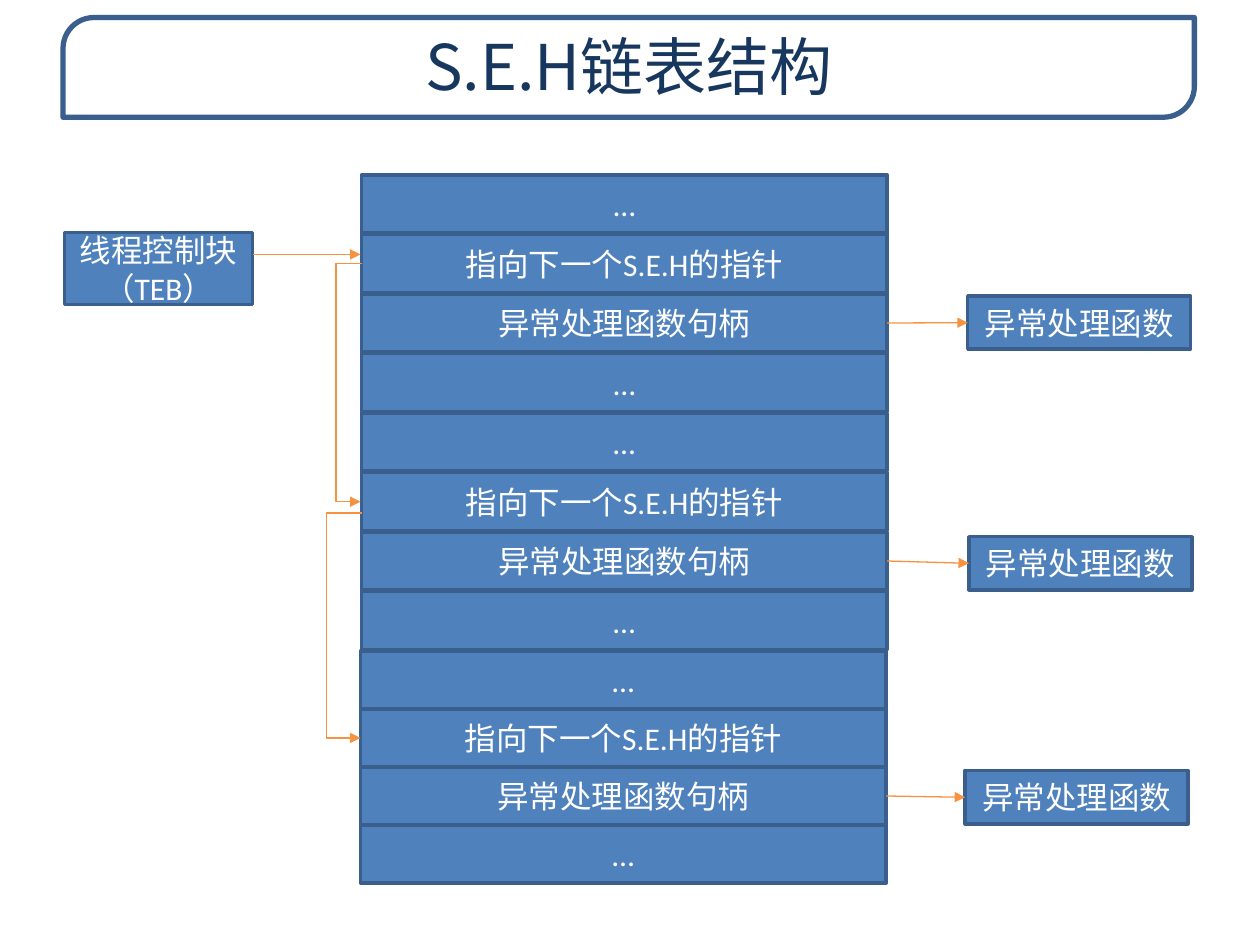
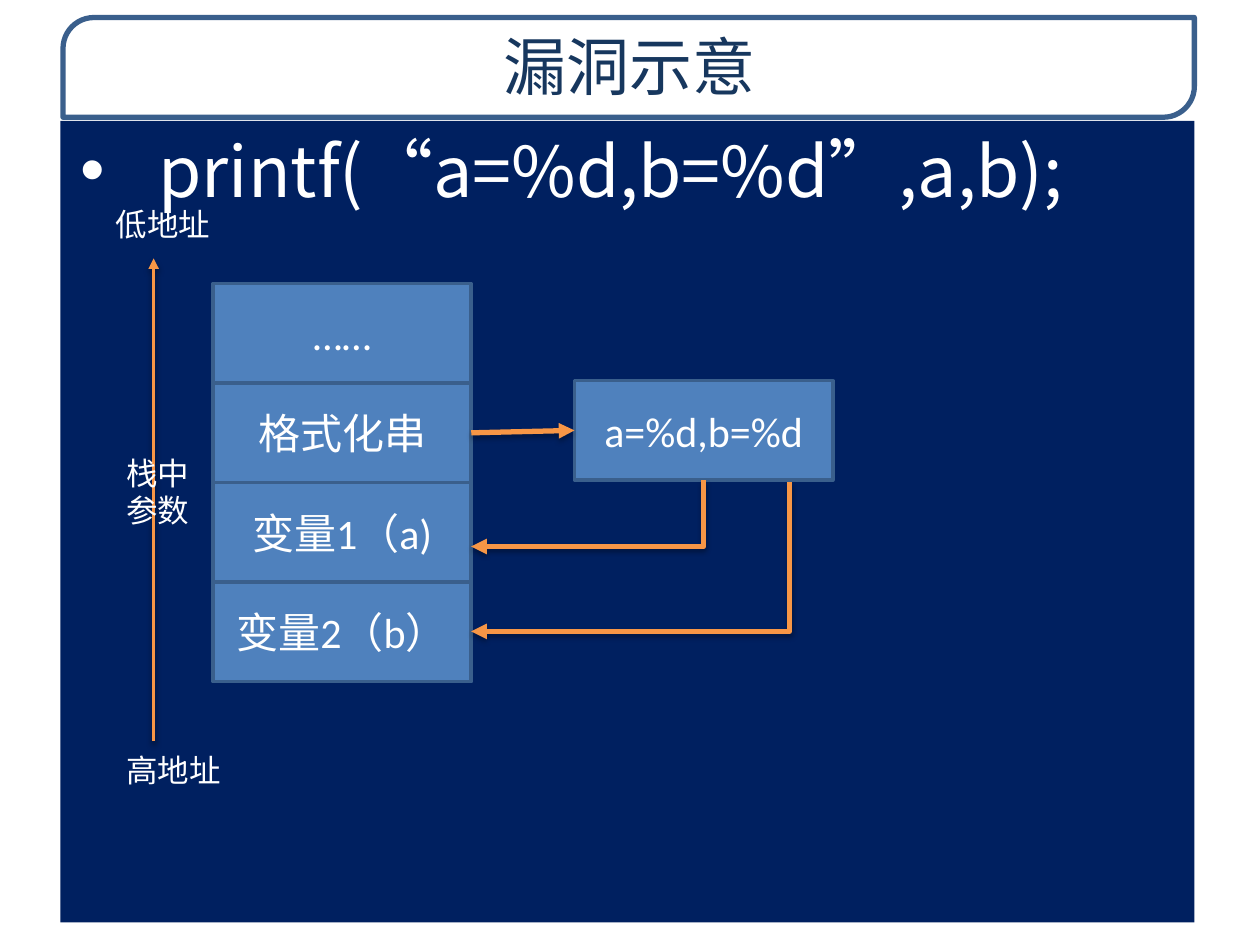
"""Build two slides: the S.E.H chain structure and a format string stack diagram."""
from dataclasses import dataclass

from lxml.etree import SubElement
from pptx import Presentation
from pptx.dml.color import RGBColor
from pptx.enum.shapes import MSO_CONNECTOR, MSO_SHAPE
from pptx.enum.text import MSO_ANCHOR, PP_ALIGN
from pptx.oxml.ns import qn
from pptx.util import Pt


@dataclass(frozen=True)
class Theme:
    white: RGBColor = RGBColor.from_string("FFFFFF")
    title: RGBColor = RGBColor.from_string("17375E")
    border: RGBColor = RGBColor.from_string("3A5F8C")
    box: RGBColor = RGBColor.from_string("4F81BD")
    panel: RGBColor = RGBColor.from_string("002060")
    thin_arrow: RGBColor = RGBColor.from_string("F69240")
    bold_arrow: RGBColor = RGBColor.from_string("F79646")
    chinese_font: str = "Noto Sans CJK SC"
    box_font: str = "Calibri"
    label_font: str = "Arial"
    title_size: int = 36
    code_size: int = 40
    stack_size: int = 24
    small_size: int = 18


theme = Theme()


def add_box(slide, frame, lines, size, font=theme.box_font, color=theme.white,
            fill=None, border=0, preset=MSO_SHAPE.RECTANGLE,
            align=PP_ALIGN.CENTER, anchor=MSO_ANCHOR.MIDDLE):
    lengths = [Pt(length) for length in frame]
    if fill is None:
        shape = slide.shapes.add_textbox(*lengths)
    else:
        shape = slide.shapes.add_shape(preset, *lengths)
        shape.shadow.inherit = False
        shape.fill.solid()
        shape.fill.fore_color.rgb = fill
        if border:
            shape.line.color.rgb = theme.border
            shape.line.width = Pt(border)
        else:
            shape.line.fill.background()
    text_frame = shape.text_frame
    text_frame.word_wrap = True
    text_frame.vertical_anchor = anchor
    for index, line in enumerate(lines):
        paragraph = text_frame.add_paragraph() if index else text_frame.paragraphs[0]
        paragraph.alignment = align
        run = paragraph.add_run()
        run.text = line
        run.font.size = Pt(size)
        run.font.name = font
        run.font.color.rgb = color
        SubElement(run._r.get_or_add_rPr(), qn("a:ea"), typeface=theme.chinese_font)
    return shape


def add_arrow(slide, start, end, color, width, bend=None, shadow=0):
    kind = MSO_CONNECTOR.STRAIGHT if bend is None else MSO_CONNECTOR.ELBOW
    arrow = slide.shapes.add_connector(kind, *[Pt(length) for length in (*start, *end)])
    arrow.line.color.rgb = color
    arrow.line.width = Pt(width)
    properties = arrow.element.spPr
    SubElement(properties.find(qn("a:ln")), qn("a:tailEnd"), type="triangle")
    effects = SubElement(properties, qn("a:effectLst"))
    if shadow:
        outer = SubElement(effects, qn("a:outerShdw"), blurRad=str(Pt(3.1)), dist=str(Pt(1.8)),
                           dir="5400000", rotWithShape="0")
        black = SubElement(outer, qn("a:srgbClr"), val="000000")
        SubElement(black, qn("a:alpha"), val=str(shadow * 1000))
    if bend is not None:
        guides = properties.find(qn("a:prstGeom")).find(qn("a:avLst"))
        ratio = round(100000 * bend / abs(end[0] - start[0]))
        SubElement(guides, qn("a:gd"), name="adj1", fmla=f"val {ratio}")
    return arrow


presentation = Presentation()
presentation.slide_width = Pt(720)
presentation.slide_height = Pt(540)

slides = []
for title in ("S.E.H链表结构", "漏洞示意"):
    slide = presentation.slides.add_slide(presentation.slide_layouts[6])
    band = add_box(slide, (36, 10, 646.5, 57), (), theme.title_size, fill=theme.white,
                   border=3, preset=MSO_SHAPE.ROUND_2_DIAG_RECTANGLE)
    band.adjustments[0] = 0.31
    band.adjustments[1] = 0
    add_box(slide, (36.5, 10, 646, 54.5), (title,), theme.title_size,
            theme.chinese_font, theme.title)
    slides.append(slide)
chain_slide, stack_slide = slides

record_rows = ("…", "指向下一个S.E.H的指针", "异常处理函数句柄", "…")
handle_row = 2
records = (
    (206.6, 100, 34, 553, 169.2),
    (206.5, 236, 34, 553.7, 306.7),
    (206, 372, 33.15, 551.5, 440.4),
)
for left, top, pitch, handler_left, handler_top in records:
    rows = [add_box(chain_slide, (left, top + index * pitch, 300.4, 33.15), (text,),
                    theme.small_size, fill=theme.box, border=2)
            for index, text in enumerate(record_rows)]
    handler = add_box(chain_slide, (handler_left, handler_top, 127.4, 30.4), ("异常处理函数",),
                      theme.small_size, fill=theme.box, border=2)
    arrow = add_arrow(chain_slide, (507, handler_top), (handler_left, handler_top),
                      theme.thin_arrow, 0.75)
    arrow.begin_connect(rows[handle_row], 3)
    arrow.end_connect(handler, 1)

for start_y, end_y, bend in ((150.6, 286.7, 15), (293.2, 421.7, 20.5)):
    add_arrow(chain_slide, (207, start_y), (206, end_y), theme.thin_arrow, 0.75, bend)
add_box(chain_slide, (36.8, 133, 107.6, 41), ("线程控制块", "（TEB）"),
        theme.small_size, fill=theme.box, border=2)
add_arrow(chain_slide, (144.5, 145.4), (206, 145.4), theme.thin_arrow, 0.75)

panel = add_box(stack_slide, (34.5, 69.1, 648, 458), ("printf(“a=%d,b=%d”,a,b);",),
                theme.code_size, theme.chinese_font, fill=theme.panel,
                align=PP_ALIGN.JUSTIFY, anchor=MSO_ANCHOR.TOP)
panel.text_frame.margin_left = panel.text_frame.margin_right = Pt(11.5)
code = panel.text_frame.paragraphs[0]
code.space_before = Pt(8)
code_properties = code._p.get_or_add_pPr()
code_properties.set("marL", str(Pt(44.6)))
code_properties.set("indent", str(Pt(-44.6)))
SubElement(code_properties, qn("a:buFont"), typeface=theme.label_font)
SubElement(code_properties, qn("a:buChar"), char="•")

cells = [add_box(stack_slide, (121.7, 162 + index * 56.9, 147.6, 56.9), (text,),
                 theme.stack_size, fill=theme.box, border=2)
         for index, text in enumerate(("……", "格式化串", "变量1（a)", "变量2（b）"))]
add_arrow(stack_slide, (87.8, 423.4), (87.8, 147.6), theme.bold_arrow, 2, shadow=38)

for frame, lines in (
    ((59, 113.8, 68.4, 29), ("低地址",)),
    ((65, 425.5, 68.4, 29), ("高地址",)),
    ((65, 255.6, 51.8, 51), ("栈中", "参数")),
):
    add_box(stack_slide, frame, lines, theme.small_size, theme.label_font,
            align=PP_ALIGN.LEFT, anchor=MSO_ANCHOR.TOP)

format_box = add_box(stack_slide, (328.3, 217.5, 147.6, 56.9), ("a=%d,b=%d",),
                     theme.stack_size, fill=theme.box, border=2)
arrow = add_arrow(stack_slide, (269.3, 247.4), (328.3, 246), theme.bold_arrow, 3, shadow=35)
arrow.begin_connect(cells[1], 3)
arrow.end_connect(format_box, 1)
for start_x, start_y, end_y in ((402.1, 274.4, 312.3), (451.2, 275.5, 360.8)):
    add_arrow(stack_slide, (start_x, start_y), (269.3, end_y), theme.bold_arrow, 3,
              bend=0, shadow=35)

presentation.save("out.pptx")
